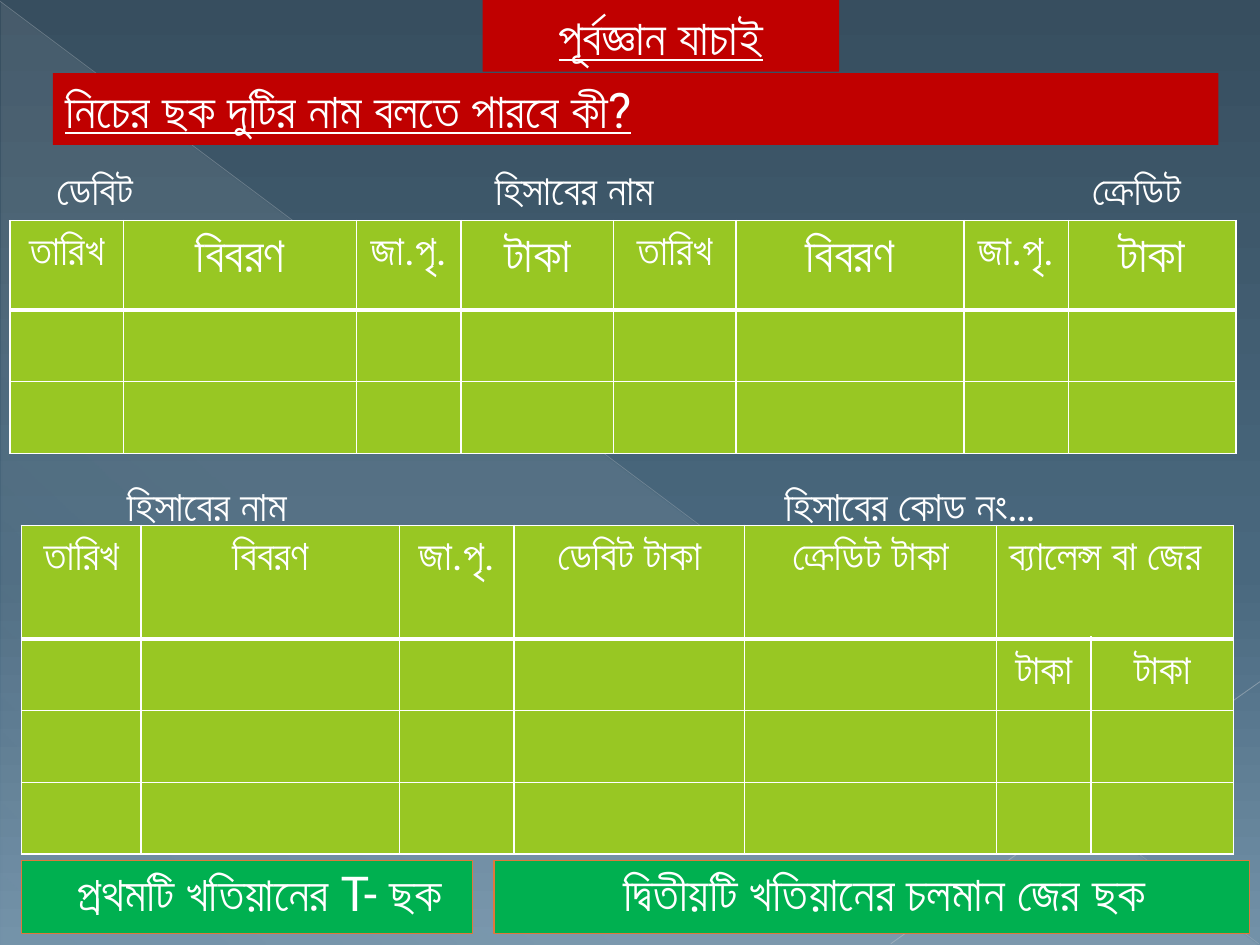
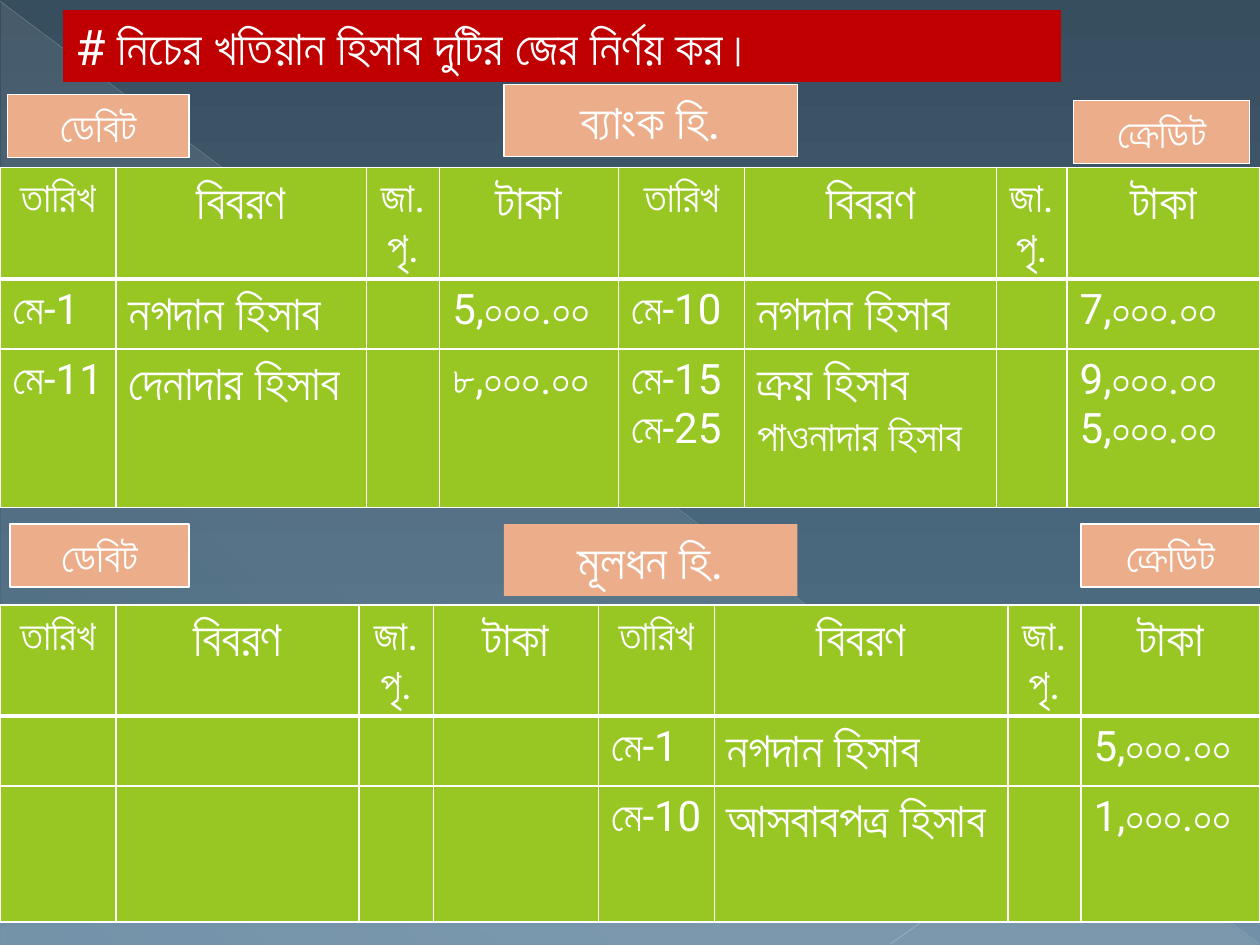
from lxml import etree
from pptx import Presentation
from pptx.dml.color import RGBColor
from pptx.enum.shapes import MSO_CONNECTOR, MSO_SHAPE
from pptx.enum.text import MSO_ANCHOR, MSO_AUTO_SIZE, PP_ALIGN
from pptx.oxml.ns import qn
from pptx.util import Inches, Pt

FONT = "Roboto"
WHITE = RGBColor(0xFF, 0xFF, 0xFF)
RED = RGBColor(0xC0, 0x00, 0x00)
GREEN = RGBColor(0x00, 0xB0, 0x50)
ORANGE = RGBColor(0xE0, 0x77, 0x3C)
PEACH = RGBColor(0xEC, 0xAD, 0x8A)
LIME = RGBColor(0x98, 0xC7, 0x23)
MIST = RGBColor(0xE7, 0xEC, 0xED)
SILVER = RGBColor(0xBA, 0xC0, 0xC6)
PALE = RGBColor(0xC2, 0xC7, 0xCC)
# Gradient stops: position %, colour, opacity %
SKY = [(0, RGBColor(0x37, 0x4E, 0x5F), 100),
       (60, RGBColor(0x49, 0x68, 0x7E), 100),
       (100, RGBColor(0x72, 0x91, 0xA8), 100)]
HAZE = [(0, MIST, 10), (70, MIST, 8), (100, MIST, 1)]

HEADER = ["তারিখ", "বিবরণ", "জা.পৃ.", "টাকা"] * 2
HEADER_SIZES = [24, 28, 24, 28] * 2
BODY_SIZES = [24, 28, 24, 24] * 2


def add_node(parent, tag, **attrs):
    """Append an XML child with the given attributes."""
    node = etree.SubElement(parent, qn(tag))
    for name, value in attrs.items():
        node.set(name, str(value))
    return node


def set_gradient(solid, stops, angle):
    """Replace a solidFill element by a linear gradient."""
    grad = etree.Element(qn("a:gradFill"), rotWithShape="1")
    stop_list = add_node(grad, "a:gsLst")
    for pos, color, opacity in stops:
        stop = add_node(stop_list, "a:gs", pos=pos * 1000)
        clr = add_node(stop, "a:srgbClr", val=color)
        if opacity < 100:
            add_node(clr, "a:alpha", val=opacity * 1000)
    add_node(grad, "a:lin", ang=angle * 60000, scaled=0)
    solid.getparent().replace(solid, grad)


def add_run(p, text, size, **fmt):
    """Add white text in the deck font to a paragraph."""
    r = p.add_run()
    r.text = text
    r.font.color.rgb = WHITE
    for name, value in {"name": FONT, "size": Pt(size), **fmt}.items():
        setattr(r.font, name, value)
    add_node(r.font._element, "a:cs", typeface=FONT)


def add_box(slide, box, color, line=None):
    """Add a flat filled rectangle."""
    sp = slide.shapes.add_shape(MSO_SHAPE.RECTANGLE, *map(Inches, box))
    sp.shadow.inherit = False
    sp.fill.solid()
    sp.fill.fore_color.rgb = color
    if line is None:
        sp.line.fill.background()
    else:
        sp.line.color.rgb = line
        sp.line.width = Pt(0.75)
    return sp


def add_label(slide, box, text, color, size=28, line=None,
              align=PP_ALIGN.CENTER, **fmt):
    """Add a filled label that grows with its text."""
    tf = add_box(slide, box, color, line).text_frame
    tf.word_wrap = True
    tf.auto_size = MSO_AUTO_SIZE.SHAPE_TO_FIT_TEXT
    tf.vertical_anchor = MSO_ANCHOR.TOP
    tf.paragraphs[0].alignment = align
    add_run(tf.paragraphs[0], text, size, **fmt)


def add_answer(slide, box, text, size):
    """Add a green answer bar with text at its foot."""
    tf = add_box(slide, box, GREEN, ORANGE).text_frame
    tf.word_wrap = True
    tf.vertical_anchor = MSO_ANCHOR.BOTTOM
    tf.margin_bottom = Inches(0.1)
    p = tf.paragraphs[0]
    p.alignment = PP_ALIGN.CENTER
    p._p.get_or_add_pPr().set("marL", str(Inches(0.2)))
    add_run(p, text, size)


def add_caption(slide, box, parts, size):
    """Add a line of captions, given as (tab position, text)."""
    tf = slide.shapes.add_textbox(*map(Inches, box)).text_frame
    tf.word_wrap = True
    p = tf.paragraphs[0]
    p.space_before = Pt(5.8)
    tabs = add_node(p._p.get_or_add_pPr(), "a:tabLst")
    for pos, text in parts:
        add_node(tabs, "a:tab", pos=Inches(pos), algn="l")
        add_run(p, "\t" + text, size)


def set_borders(cell, row):
    """Draw white cell borders, thick under the header row."""
    tcPr = cell._tc.get_or_add_tcPr()
    widths = {"L": 1, "R": 1, "T": 3 if row == 1 else 1,
              "B": 3 if row == 0 else 1}
    for i, (side, width) in enumerate(widths.items()):
        ln = add_node(tcPr, f"a:ln{side}", w=Pt(width))
        add_node(add_node(ln, "a:solidFill"), "a:srgbClr", val=WHITE)
        tcPr.insert(i, ln)


def add_ledger(slide, left, top, cols, heights, rows,
               header_sizes=HEADER_SIZES, body_sizes=BODY_SIZES,
               body_align=PP_ALIGN.LEFT):
    """Add a ledger table; lines after the first in a cell are 24 pt."""
    frame = slide.shapes.add_table(
        len(rows), len(cols), Inches(left), Inches(top),
        Inches(sum(cols)), Inches(sum(heights)))
    table = frame.table
    for col, width in zip(table.columns, cols):
        col.width = Inches(width)
    for i, (height, texts) in enumerate(zip(heights, rows)):
        table.rows[i].height = Inches(height)
        sizes = body_sizes if i else header_sizes
        for j, (text, size) in enumerate(zip(texts, sizes)):
            cell = table.cell(i, j)
            cell.fill.solid()
            cell.fill.fore_color.rgb = LIME
            set_borders(cell, i)
            tf = cell.text_frame
            for k, line in enumerate(text.split("\n") if text else []):
                p = tf.add_paragraph() if k else tf.paragraphs[0]
                p.alignment = body_align if i else PP_ALIGN.CENTER
                add_run(p, line, 24 if k else size, bold=False)
    return table


def add_ray(slide, start, end, color, width, opacity):
    """Add a thin translucent line."""
    cn = slide.shapes.add_connector(
        MSO_CONNECTOR.STRAIGHT, *map(Inches, start + end))
    cn.line.color.rgb = color
    cn.line.width = Pt(width)
    clr = cn._element.spPr.find(".//" + qn("a:srgbClr"))
    add_node(clr, "a:alpha", val=opacity * 1000)
    add_node(cn._element.spPr, "a:effectLst")


def decorate_layout(layout, slide):
    """Give the layout its background, drawing the shapes via a slide."""
    for ph in list(layout.placeholders):
        ph._element.getparent().remove(ph._element)
    layout.background.fill.solid()
    set_gradient(layout.element.find(f".//{qn('p:bgPr')}/{qn('a:solidFill')}"),
                 SKY, 90)
    sp = add_box(slide, (0.01, 0.02, 9.98, 7.48), MIST)
    sp.auto_shape_type  # a rectangle until its geometry is set below
    sp._element.spPr.find(qn("a:prstGeom")).set("prst", "rtTriangle")
    set_gradient(sp._element.spPr.find(qn("a:solidFill")), HAZE, 133)
    add_ray(slide, (0, 0.01), (9.99, 7.49), SILVER, 0.39, 35)
    add_ray(slide, (10, 5.41), (7.07, 7.49), PALE, 0.47, 45)
    for shape in list(slide.shapes):
        layout.element.cSld.spTree.append(shape._element)


def build_quiz(slide):
    """Prior knowledge check: name the two ledger forms."""
    add_answer(slide, (0.17, 6.83, 3.58, 0.58),
               "প্রথমটি খতিয়ানের T- ছক", 27.5)
    add_caption(slide, (0.17, 1.25, 9.63, 0.5),
                [(0.18, "ডেবিট"), (3.66, "হিসাবের নাম"),
                 (8.4, "ক্রেডিট")], 24)
    add_answer(slide, (3.92, 6.83, 6, 0.58),
               "দ্বিতীয়টি খতিয়ানের চলমান জের ছক", 28)
    add_caption(slide, (0.83, 3.75, 8.67, 0.43),
                [(0.08, "হিসাবের নাম"), (5.3, "হিসাবের কোড নং…")], 24.2)
    add_label(slide, (3.83, 0, 2.83, 0.57), "পূর্বজ্ঞান যাচাই", RED,
              underline=True)
    add_label(slide, (0.42, 0.58, 9.25, 0.57),
              "নিচের ছক দুটির নাম বলতে পারবে কী?", RED,
              align=PP_ALIGN.LEFT, underline=True)
    add_ledger(slide, 0.08, 1.75,
               [0.9, 1.85, 0.83, 1.21, 0.97, 1.81, 0.83, 1.33],
               [0.71, 0.57, 0.57], [HEADER, [""] * 8, [""] * 8])
    balance = add_ledger(
        slide, 0.17, 4.17, [0.95, 2.05, 0.91, 1.83, 2, 0.75, 1.13],
        [0.9, 0.57, 0.57, 0.57],
        [["তারিখ", "বিবরণ", "জা.পৃ.", "ডেবিট টাকা", "ক্রেডিট টাকা",
          "ব্যালেন্স বা জের", ""],
         [""] * 5 + ["টাকা"] * 2, [""] * 7, [""] * 7],
        [24] * 7, [24] * 7, PP_ALIGN.CENTER)
    cell = balance.cell(0, 5)
    cell.merge(balance.cell(0, 6))
    p = cell.text_frame.paragraphs[0]
    p.alignment = PP_ALIGN.LEFT
    p.runs[0].font.bold = True


def build_exercise(slide):
    """Exercise: find the balance of two ledger accounts."""
    add_ledger(slide, 0, 1.33,
               [0.92, 1.99, 0.58, 1.42, 1, 2, 0.56, 1.53],
               [0.88, 0.49, 1.26],
               [HEADER,
                ["মে-1", "নগদান হিসাব", "", "5,০০০.০০",
                 "মে-10", "নগদান হিসাব", "", "7,০০০.০০"],
                ["মে-11", "দেনাদার হিসাব", "", "৮,০০০.০০",
                 "মে-15\nমে-25", "ক্রয় হিসাব\nপাওনাদার হিসাব", "",
                 "9,০০০.০০\n5,০০০.০০"]])
    add_ledger(slide, 0, 4.8,
               [0.92, 1.93, 0.59, 1.31, 0.92, 2.33, 0.58, 1.42],
               [0.88, 0.55, 1.08],
               [HEADER,
                [""] * 4 + ["মে-1", "নগদান হিসাব", "", "5,০০০.০০"],
                [""] * 4 + ["মে-10", "আসবাবপত্র হিসাব", "", "1,০০০.০০"]])
    for box, text, size, line in [
            ((4, 0.67, 2.33, 0.57), "ব্যাংক হি.", 28, WHITE),
            ((4, 4.16, 2.33, 0.57), "মূলধন হি.", 28, None),
            ((0.06, 0.75, 1.44, 0.5), "ডেবিট", 24, WHITE),
            ((8.52, 0.8, 1.4, 0.5), "ক্রেডিট", 24, WHITE),
            ((0.08, 4.16, 1.42, 0.5), "ডেবিট", 24, WHITE),
            ((8.58, 4.16, 1.42, 0.5), "ক্রেডিট", 24, WHITE)]:
        add_label(slide, box, text, PEACH, size, line)
    add_label(slide, (0.5, 0.08, 7.92, 0.57),
              "# নিচের খতিয়ান হিসাব দুটির জের নির্ণয় কর।", RED,
              align=PP_ALIGN.LEFT)


def main():
    """Build the deck."""
    prs = Presentation()
    prs.slide_width, prs.slide_height = Inches(10), Inches(7.5)
    layout = prs.slide_layouts[6]
    quiz, exercise = [prs.slides.add_slide(layout) for _ in range(2)]
    decorate_layout(layout, quiz)
    build_quiz(quiz)
    build_exercise(exercise)
    prs.save("out.pptx")


main()
